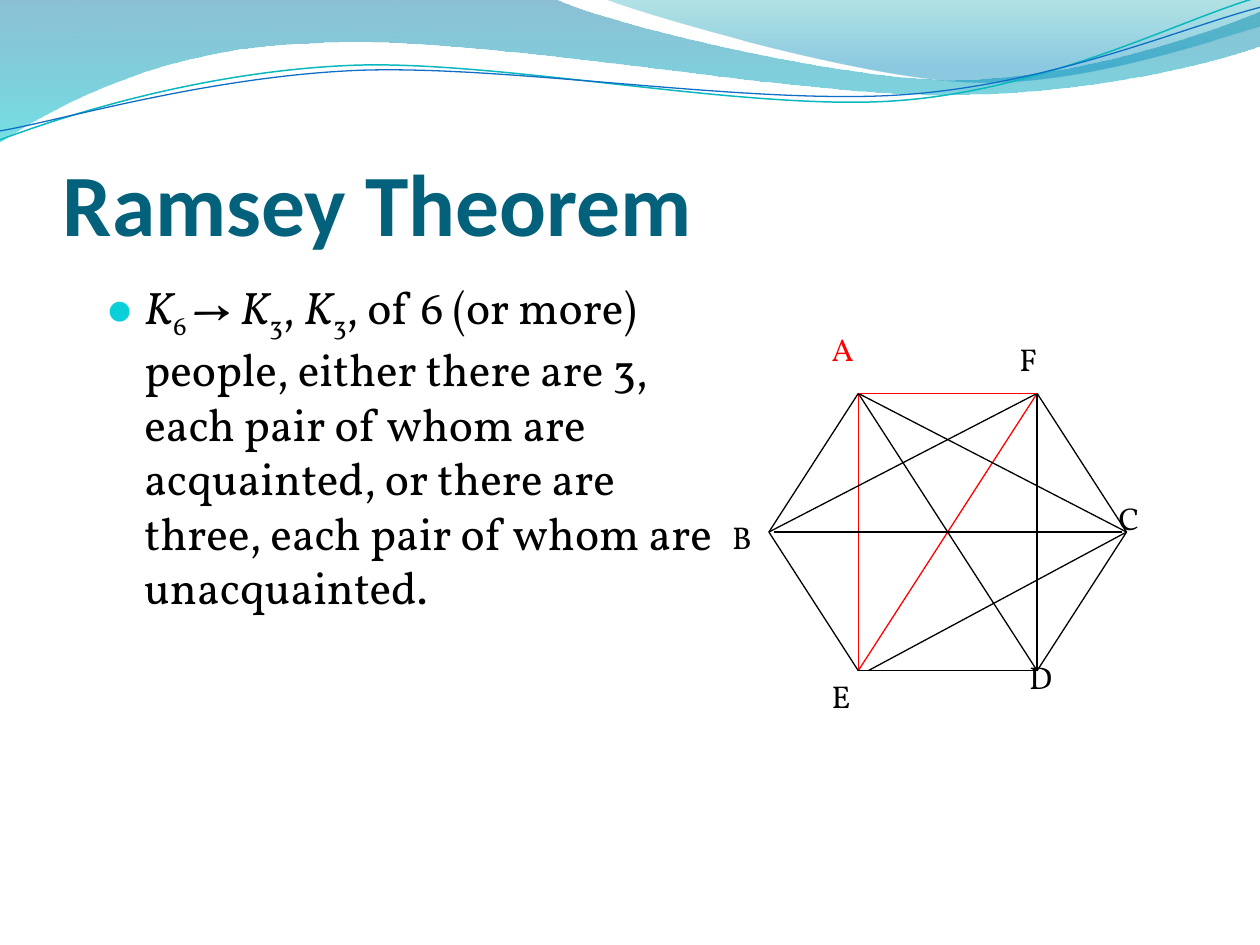
import pptx
import pptx.dml.color
import pptx.enum.shapes
import pptx.enum.text
import pptx.oxml
import pptx.oxml.ns
import pptx.util
from lxml import etree

Cm, Pt = pptx.util.Cm, pptx.util.Pt
qn = pptx.oxml.ns.qn

COLORS = {
    "title": "04617B", "text": "000000", "highlight": "FF0000", "bullet": "0BD0D9",
    "deep": "0074A1", "aqua": "00C6CF", "teal": "00A1A9", "sky": "008BBF",
    "teal_line": "0AB8BF", "blue_line": "0F6FC6",
}

# Outlines in cm: a pair is a straight step, six numbers are a Bezier step.
WAVES = [
    {"start": (0, 0),
     "steps": [(11.18, -0.03),
               (12.09, 0.43, 16.87, 1.6, 19.25, 1.6),
               (21.67, 1.6, 24.33, 0.66, 25.4, 0.23),
               (25.43, 0.91),
               (24.97, 1.12, 22.1, 1.93, 18.95, 1.91),
               (15.8, 1.91, 9.7, 0.71, 6.53, 0.86),
               (3.28, 0.91, 1.17, 2.11, -0.03, 2.87),
               (0, 0)],
     "stops": [(0, "deep", 45), (1, "aqua", 55)]},
    {"start": (12.17, -0.03),
     "steps": [(12.93, 0.28, 17.32, 1.57, 19.53, 1.65),
               (21.74, 1.75, 24.41, 0.81, 25.4, 0.53),
               (25.4, 0),
               (12.17, -0.03)],
     "stops": [(0, "teal", 30), (0.8, "sky", 45)]},
    {"start": (0, 2.82),
     "steps": [(1.22, 2.36, 4.01, 1.45, 7.04, 1.32),
               (10.03, 1.19, 15.06, 2.26, 18.11, 2.03),
               (21.16, 1.8, 23.83, 0.38, 25.35, -0.05)],
     "line": ("teal_line", 0.85)},
    {"start": (0, 2.64),
     "steps": [(1.19, 2.44, 4.17, 1.55, 7.19, 1.42),
               (10.24, 1.3, 15.16, 2.13, 18.21, 1.91),
               (21.23, 1.7, 23.9, 0.53, 25.4, 0.15)],
     "line": ("blue_line", 0.75)},
]

TITLE_FONT = {"name": "Calibri", "size": Pt(50), "bold": True}
BODY_FONT = {"name": "Vollkorn", "size": Pt(26)}
LABEL_FONT = {"name": "Vollkorn", "size": Pt(18)}

STATEMENT = [
    ("K", "italic"), ("6 ", "sub"), ("→ ", ""), ("K", "italic"), ("3", "sub"),
    (", ", ""), ("K", "italic"), ("3", "sub"),
    (", of 6 (or more) people, either there are 3, each pair of whom are acquainted, "
     "or there are three, each pair of whom are unacquainted.", ""),
]

# Vertices as fractions of the graph box; label offsets from each vertex in cm.
VERTICES = {"A": (0.25, 0), "F": (0.75, 0), "C": (1, 0.5),
            "D": (0.75, 1), "E": (0.25, 1), "B": (0, 0.5)}
LABEL_OFFSETS = {"A": (-0.79, -1.4), "F": (-0.61, -1.19), "C": (-0.41, -0.79),
                 "D": (-0.41, -0.38), "E": (-0.79, 0), "B": (-0.99, -0.41)}
EDGES = ["AE", "EF", "AD", "AC", "BF", "BC", "EC", "FD",
         "AF", "FC", "AB", "BE", "DC", "ED"]
RED_EDGES = {"AE", "EF", "AF"}
END_SHIFTS = {"BC": (0.1, -0.1), "EC": (0.2, 0)}


def rgb(key):
    return pptx.dml.color.RGBColor.from_string(COLORS[key])


def style_font(font, formats, color):
    for attribute, value in formats.items():
        setattr(font, attribute, value)
    font.color.rgb = rgb(color)


def bend_steps(shape, steps, left, top):
    """Turn the straight segments of Bezier steps into curves."""
    segments = list(shape._element.iter(qn("a:lnTo")))
    for segment, step in zip(segments, steps):
        if len(step) == 2:
            continue
        segment.tag = qn("a:cubicBezTo")
        end = segment[0]
        for x, y in (step[:2], step[2:4]):
            control = etree.Element(qn("a:pt"), x=str(Cm(left + x) - shape.left),
                                    y=str(Cm(top + y) - shape.top))
            end.addprevious(control)


def fill_gradient(shape, stops):
    """Fill downwards with (position, colour, opacity percent) stops."""
    shape.fill.gradient()
    shape.fill.gradient_angle = 270
    for stop, (position, color, _) in zip(shape.fill.gradient_stops, stops):
        stop.position = position
        stop.color.rgb = rgb(color)
    tints = shape.fill._xPr.iter(qn("a:srgbClr"))
    for tint, (_, _, opacity) in zip(tints, stops):
        etree.SubElement(tint, qn("a:alpha"), val=str(opacity * 1000))


def add_waves(slide, left, top):
    for wave in WAVES:
        ends = [(Cm(left + x), Cm(top + y))
                for x, y in [wave["start"], *(step[-2:] for step in wave["steps"])]]
        builder = slide.shapes.build_freeform(*ends[0])
        builder.add_line_segments(ends[1:], close="stops" in wave)
        shape = builder.convert_to_shape()
        bend_steps(shape, wave["steps"], left, top)
        shape.shadow.inherit = False
        if "stops" in wave:
            fill_gradient(shape, wave["stops"])
            shape.line.fill.background()
        else:
            color, width = wave["line"]
            shape.fill.background()
            shape.line.color.rgb = rgb(color)
            shape.line.width = Pt(width)


def add_text_frame(slide, left, top, width, height):
    frame = slide.shapes.add_textbox(Cm(left), Cm(top), Cm(width), Cm(height)).text_frame
    frame.word_wrap = True
    return frame


def add_title(slide, left, top, width, height):
    frame = add_text_frame(slide, left, top, width, height)
    frame.vertical_anchor = pptx.enum.text.MSO_ANCHOR.BOTTOM
    frame.margin_left = frame.margin_right = frame.margin_bottom = 0
    heading = frame.paragraphs[0].add_run()
    heading.text = "Ramsey Theorem"
    style_font(heading.font, TITLE_FONT, "title")


def add_statement(slide, left, top, width, height):
    paragraph = add_text_frame(slide, left, top, width, height).paragraphs[0]
    properties = paragraph._p.get_or_add_pPr()
    properties.set("marL", str(Cm(0.76)))
    properties.set("indent", str(Cm(-0.76)))
    bullet_color = etree.SubElement(properties, qn("a:buClr"))
    etree.SubElement(bullet_color, qn("a:srgbClr"), val=COLORS["bullet"])
    etree.SubElement(properties, qn("a:buSzPct"), val="95000")
    etree.SubElement(properties, qn("a:buFont"), typeface="Calibri")
    etree.SubElement(properties, qn("a:buChar"), char="●")
    for text, style in STATEMENT:
        run = paragraph.add_run()
        run.text = text
        style_font(run.font, BODY_FONT, "text")
        run.font.italic = style == "italic"
        if style == "sub":
            run.font._element.set("baseline", "-25000")


def add_graph(slide, left, top, width, height):
    """Draw the complete graph on six vertices with one red triangle."""
    spots = {name: (left + x * width, top + y * height)
             for name, (x, y) in VERTICES.items()}
    for edge in EDGES:
        (x1, y1), (x2, y2) = (spots[name] for name in edge)
        shift1, shift2 = END_SHIFTS.get(edge, (0, 0))
        line = slide.shapes.add_connector(
            pptx.enum.shapes.MSO_CONNECTOR.STRAIGHT,
            Cm(x1 + shift1), Cm(y1), Cm(x2 + shift2), Cm(y2))
        line.line.color.rgb = rgb("highlight" if edge in RED_EDGES else "text")
        line.line.width = Pt(0.75)
        etree.SubElement(line._element.spPr, qn("a:effectLst"))
    for name, (dx, dy) in LABEL_OFFSETS.items():
        x, y = spots[name]
        label = add_text_frame(slide, x + dx, y + dy, 0.99, 1.27).paragraphs[0].add_run()
        label.text = name
        style_font(label.font, LABEL_FONT, "highlight" if name == "A" else "text")


def main():
    deck = pptx.Presentation()
    deck.slide_width, deck.slide_height = Cm(25.4), Cm(19.05)
    slide = deck.slides.add_slide(deck.slide_layouts[6])
    add_waves(slide, 0, 0)
    add_title(slide, 1.27, 1.95, 22.86, 3.18)
    add_statement(slide, 1.9, 5.5, 13.18, 11.43)
    add_graph(slide, 15.5, 7.93, 7.21, 5.59)
    deck.save("out.pptx")


if __name__ == "__main__":
    main()
